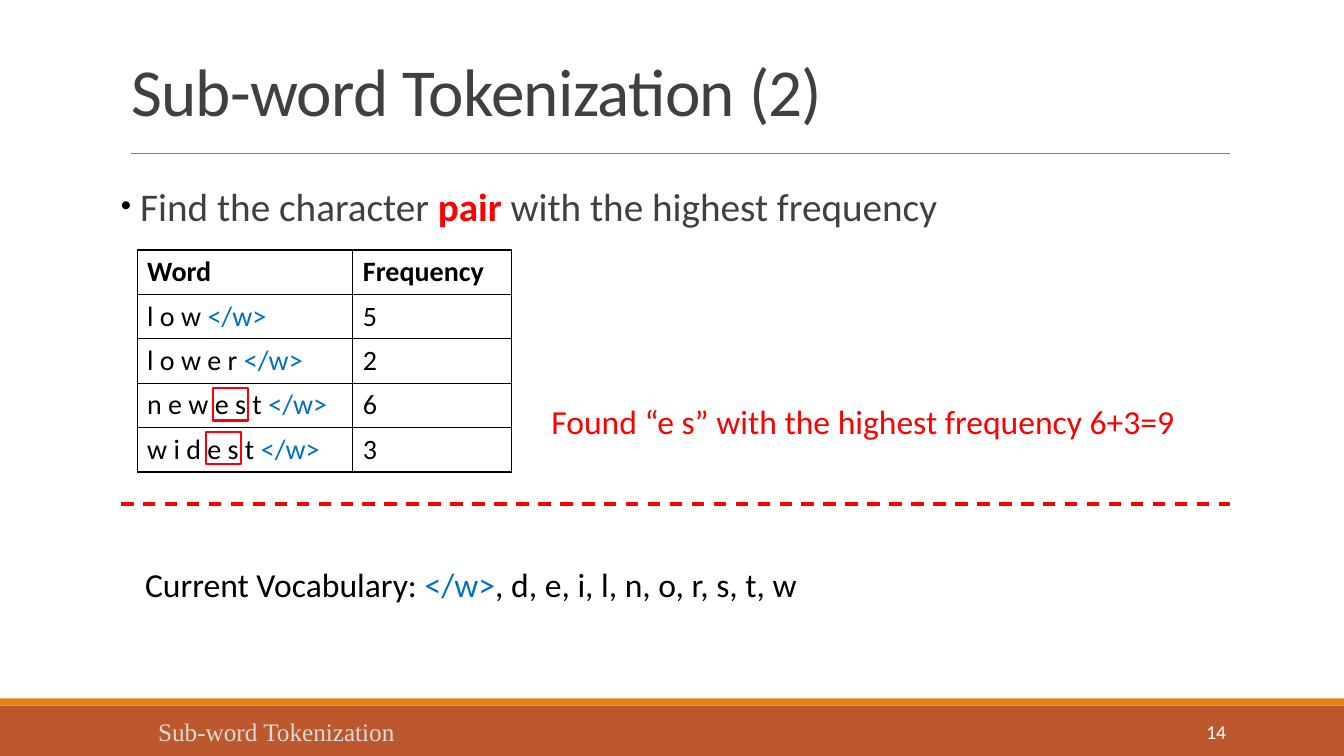
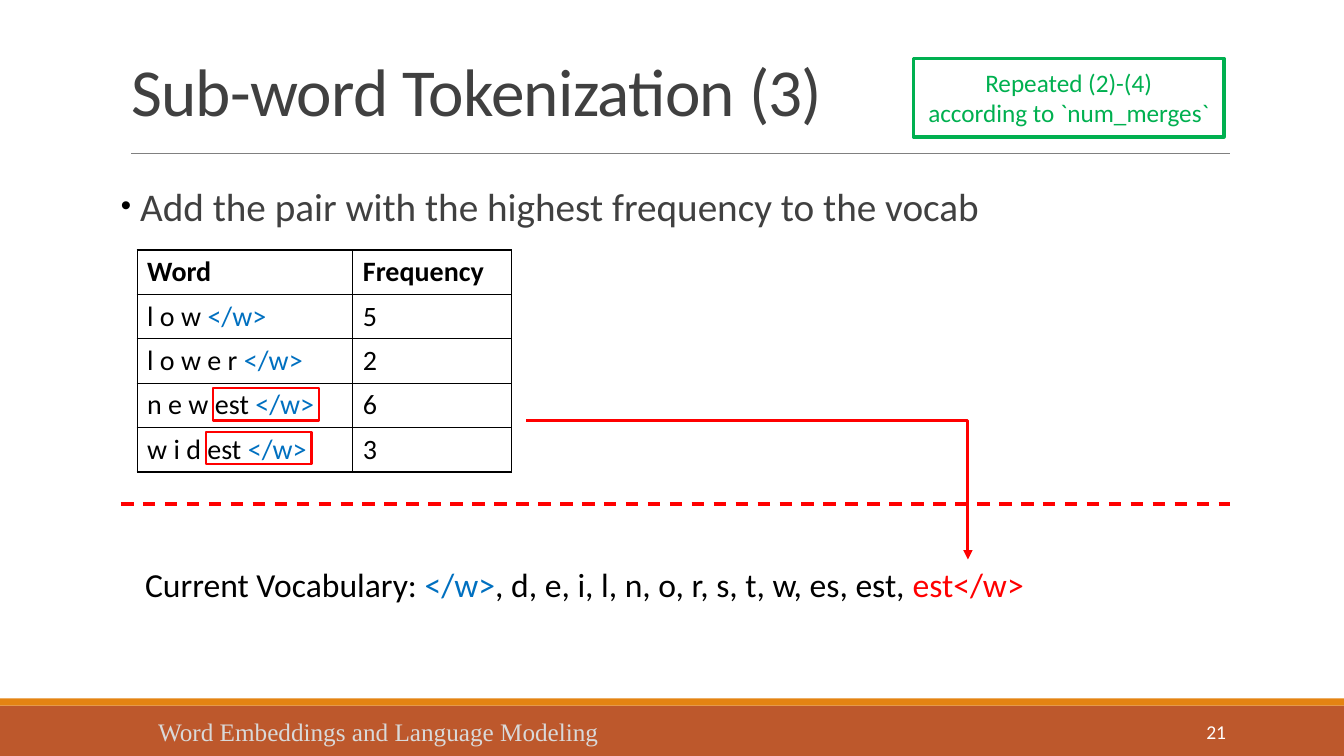
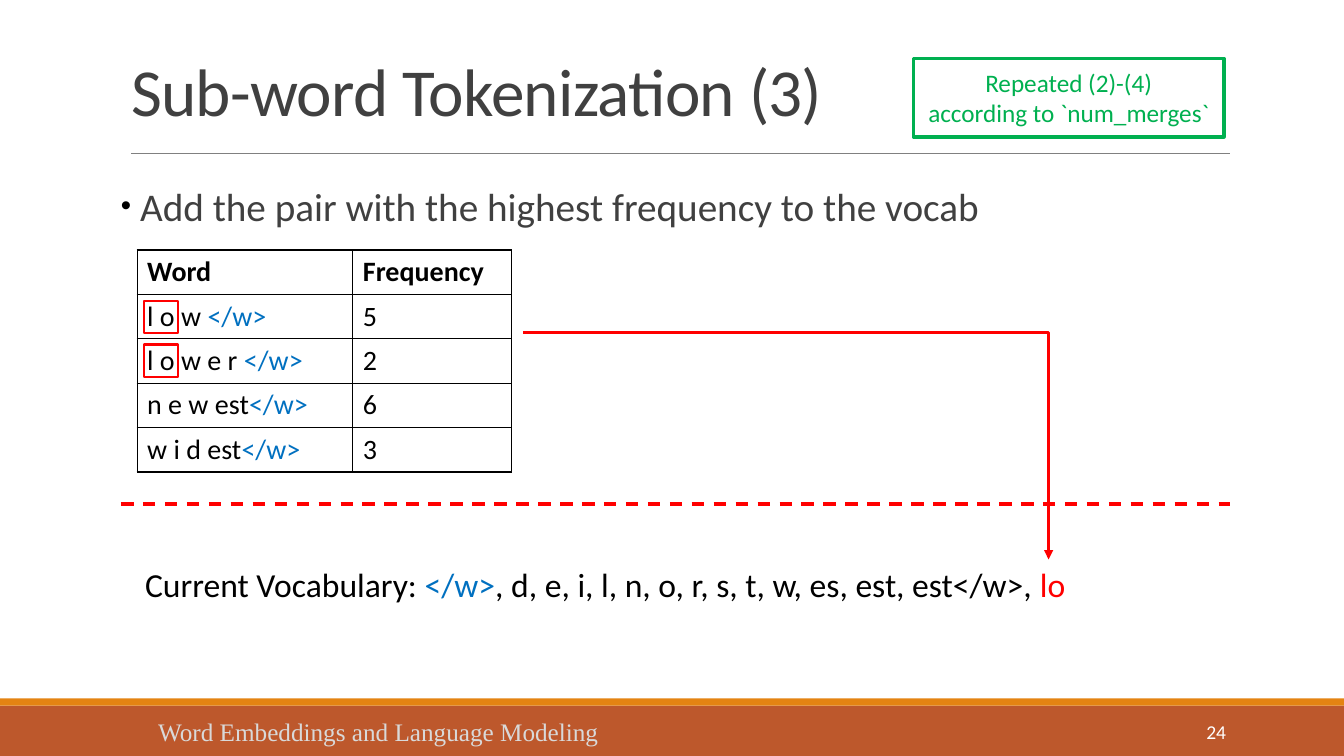
import lxml.etree
import pptx
import pptx.dml.color
import pptx.enum.dml
import pptx.enum.shapes
import pptx.enum.text
import pptx.oxml.ns
import pptx.util

Inches, Pt, qn = pptx.util.Inches, pptx.util.Pt, pptx.oxml.ns.qn
ALIGN, ANCHOR = pptx.enum.text.PP_ALIGN, pptx.enum.text.MSO_ANCHOR
CONNECTOR = pptx.enum.shapes.MSO_CONNECTOR

COLORS = {
    "black": "000000", "white": "FFFFFF", "gray": "404040", "rule": "808080",
    "red": "FF0000", "blue": "0070C0", "green": "00B050",
    "footer": "D9D9D9", "band": "BD582C", "stripe": "E48312",
}
END = "</w>"
ADD_PAIR = [("Add the pair with the highest frequency to the vocab", "gray")]
REPEAT_NOTE = ["Repeated (2)-(4)", "according to `num_merges`"]
LETTERS = ", d, e, i, l, n, o, r, s, t, w"
COURSE = "Word Embeddings and Language Modeling"
FREQUENCIES = [5, 2, 6, 3]

# marks: (table row, left, width); arrow: (start x, start y, end x)
SLIDES = [
    {
        "title": "Sub-word Tokenization (2)", "footer": "Sub-word Tokenization", "number": "14",
        "step": [("Find the character ", "gray"), ("pair", "red", True),
                 (" with the highest frequency", "gray")],
        "words": ["l o w ", "l o w e r ", "n e w e s t ", "w i d e s t "],
        "marks": [(3, 2.11, 0.35), (4, 2.04, 0.35)],
        "vocabulary": [(LETTERS, "black")],
        "finding": "Found “e s” with the highest frequency 6+3=9",
    },
    {
        "title": "Sub-word Tokenization (3)", "footer": COURSE, "number": "21",
        "step": ADD_PAIR, "note": REPEAT_NOTE,
        "words": ["l o w ", "l o w e r ", "n e w est ", "w i d est "],
        "marks": [(3, 2.11, 1.05), (4, 2.04, 1.05)],
        "vocabulary": [(LETTERS + ", es, est, ", "black"), ("est</w>", "red")],
        "arrow": (5.22, 4.17, 9.6),
    },
    {
        "title": "Sub-word Tokenization (3)", "footer": COURSE, "number": "24",
        "step": ADD_PAIR, "note": REPEAT_NOTE,
        "words": ["l o w ", "l o w e r ", "n e w est", "w i d est"],
        "marks": [(1, 1.43, 0.34), (2, 1.43, 0.34)],
        "vocabulary": [(LETTERS + ", es, est, est</w>, ", "black"), ("lo", "red")],
        "arrow": (5.19, 3.3, 10.4),
    },
]

LEFT, RIGHT = 1.2, 12.2
TABLE_LEFT, TABLE_TOP = 1.36, 2.48
COLUMNS, ROW_HEIGHT = (2.14, 1.57), 2.17 / 5
VOCABULARY_TOP = 5.55


def rgb(name):
    return pptx.dml.color.RGBColor.from_string(COLORS[name])


def write(frame, *paragraphs, size, color="black", bold=False, font="Calibri",
          align=ALIGN.LEFT, spacing=None, tracking=None):
    """Each paragraph is a string or a list of (text, color[, bold]) runs."""
    for index, content in enumerate(paragraphs):
        paragraph = frame.add_paragraph() if index else frame.paragraphs[0]
        paragraph.alignment = align
        paragraph.space_before = Pt(0)
        if spacing:
            paragraph.line_spacing = spacing
        for text, tint, *strong in [(content, color)] if isinstance(content, str) else content:
            run = paragraph.add_run()
            run.text = text
            run.font.size, run.font.name = Pt(size), font
            run.font.bold = strong[0] if strong else bold
            run.font.color.rgb = rgb(tint)
            if tracking:
                run._r.get_or_add_rPr().set("spc", str(tracking))


def place(shape, left, top, width, height):
    shape.left, shape.top = Inches(left), Inches(top)
    shape.width, shape.height = Inches(width), Inches(height)


def add_text(slide, box, *paragraphs, anchor=ANCHOR.TOP, **style):
    frame = slide.shapes.add_textbox(*map(Inches, box)).text_frame
    frame.word_wrap = True
    frame.vertical_anchor = anchor
    write(frame, *paragraphs, **style)


def add_box(slide, box, fill=None, line=None, weight=1.5):
    shape = slide.shapes.add_shape(pptx.enum.shapes.MSO_SHAPE.RECTANGLE, *map(Inches, box))
    shape.shadow.inherit = False
    if fill:
        shape.fill.solid()
        shape.fill.fore_color.rgb = rgb(fill)
    else:
        shape.fill.background()
    if line:
        shape.line.color.rgb = rgb(line)
        shape.line.width = Pt(weight)
    else:
        shape.line.fill.background()
    return shape


def add_line(slide, start, end, color, weight, kind=CONNECTOR.STRAIGHT):
    line = slide.shapes.add_connector(kind, *map(Inches, start + end))
    line.line.color.rgb = rgb(color)
    line.line.width = Pt(weight)
    lxml.etree.SubElement(line.element.spPr, qn("a:effectLst"))
    return line


def add_elbow_arrow(slide, x, y, end_x):
    """Runs right, then straight down to the vocabulary."""
    arrow = add_line(slide, (x, y), (end_x, VOCABULARY_TOP), "red", 2.25, CONNECTOR.ELBOW)
    properties = arrow.element.spPr
    lxml.etree.SubElement(properties.find(qn("a:ln")), qn("a:tailEnd"), type="triangle")
    geometry = properties.find(qn("a:prstGeom"))
    adjustments = geometry.find(qn("a:avLst"))
    if adjustments is None:
        adjustments = lxml.etree.SubElement(geometry, qn("a:avLst"))
    lxml.etree.SubElement(adjustments, qn("a:gd"), name="adj1", fmla="val 100000")


def decorate_layout(layout, slide):
    """Draw the shared bands and title rule, then move them into the layout."""
    bands = [
        add_box(slide, (0, 7, 13.33, 0.5), fill="band"),
        add_box(slide, (0, 6.93, 13.33, 0.07), fill="stripe"),
        add_line(slide, (1.3, 1.52), (RIGHT, 1.52), "rule", 0.5),
    ]
    for band in bands:
        layout.shapes.element.append(band.element)


def fill_title(title, text):
    place(title, LEFT, 0.39, RIGHT - LEFT, 1.13)
    frame = title.text_frame
    frame.auto_size = pptx.enum.text.MSO_AUTO_SIZE.NONE
    frame.vertical_anchor = ANCHOR.MIDDLE
    write(frame, text, size=48, color="gray", spacing=0.85, tracking=-50)


def fill_step(body, runs):
    place(body, LEFT, 1.52, RIGHT - LEFT, 0.92)
    frame = body.text_frame
    frame.auto_size = pptx.enum.text.MSO_AUTO_SIZE.NONE
    frame.margin_left = frame.margin_right = 0
    properties = frame.paragraphs[0]._p.get_or_add_pPr()
    indent = Inches(0.19)
    properties.set("marL", str(indent))
    properties.set("indent", str(-indent))
    bullet_color = lxml.etree.SubElement(properties, qn("a:buClr"))
    lxml.etree.SubElement(bullet_color, qn("a:srgbClr"), val=COLORS["black"])
    lxml.etree.SubElement(properties, qn("a:buSzPct"), val="75000")
    lxml.etree.SubElement(properties, qn("a:buChar"), char="•")
    write(frame, runs, size=28, spacing=1.5)


def add_border(cell):
    properties = cell._tc.get_or_add_tcPr()
    for side in ("lnL", "lnR", "lnT", "lnB"):
        edge = lxml.etree.SubElement(properties, qn("a:" + side), w=str(Pt(1)))
        fill = lxml.etree.SubElement(edge, qn("a:solidFill"))
        lxml.etree.SubElement(fill, qn("a:srgbClr"), val=COLORS["black"])


def add_word_table(slide, words):
    rows = [("Word", "Frequency")]
    rows += [([(word, "black"), (END, "blue")], str(count))
             for word, count in zip(words, FREQUENCIES)]
    box = (TABLE_LEFT, TABLE_TOP, sum(COLUMNS), ROW_HEIGHT * len(rows))
    table = slide.shapes.add_table(len(rows), len(COLUMNS), *map(Inches, box)).table
    table.first_row = table.horz_banding = False
    for column, width in zip(table.columns, COLUMNS):
        column.width = Inches(width)
    for r, row in enumerate(rows):
        for c, content in enumerate(row):
            cell = table.cell(r, c)
            add_border(cell)
            cell.fill.background()
            write(cell.text_frame, content, size=20, bold=r == 0)


def build_slide(slide, content):
    fill_title(slide.shapes.title, content["title"])
    fill_step(slide.placeholders[1], content["step"])
    add_word_table(slide, content["words"])
    for row, left, width in content["marks"]:
        top = TABLE_TOP + row * ROW_HEIGHT + 0.07
        add_box(slide, (left, top, width, 0.32), line="red")
    divider = add_line(slide, (LEFT, 5), (RIGHT, 5), "red", 2.25)
    divider.line.dash_style = pptx.enum.dml.MSO_LINE.DASH
    vocabulary = [("Current Vocabulary: ", "black"), (END, "blue")] + content["vocabulary"]
    add_text(slide, (1.34, VOCABULARY_TOP, 9.5, 0.5), vocabulary, size=24)
    if "finding" in content:
        add_text(slide, (5.37, 3.93, 6.59, 0.5), content["finding"], size=24, color="red")
    if "arrow" in content:
        add_elbow_arrow(slide, *content["arrow"])
    if "note" in content:
        note = add_box(slide, (9.06, 0.58, 3.08, 0.78), line="green", weight=2.25)
        note.text_frame.vertical_anchor = ANCHOR.MIDDLE
        write(note.text_frame, *content["note"], size=18, color="green", align=ALIGN.CENTER)
    add_text(slide, (1.47, 7.06, 6.95, 0.4), content["footer"], size=18,
             color="footer", font="Times New Roman")
    add_text(slide, (10.83, 7.06, 1.43, 0.4), content["number"], size=14,
             color="white", align=ALIGN.RIGHT, anchor=ANCHOR.MIDDLE)


def main():
    deck = pptx.Presentation()
    deck.slide_width, deck.slide_height = Inches(13.33), Inches(7.5)
    layout = deck.slide_layouts[1]
    slides = [deck.slides.add_slide(layout) for _ in SLIDES]
    decorate_layout(layout, slides[0])
    for slide, content in zip(slides, SLIDES):
        build_slide(slide, content)
    deck.save("out.pptx")


if __name__ == "__main__":
    main()
